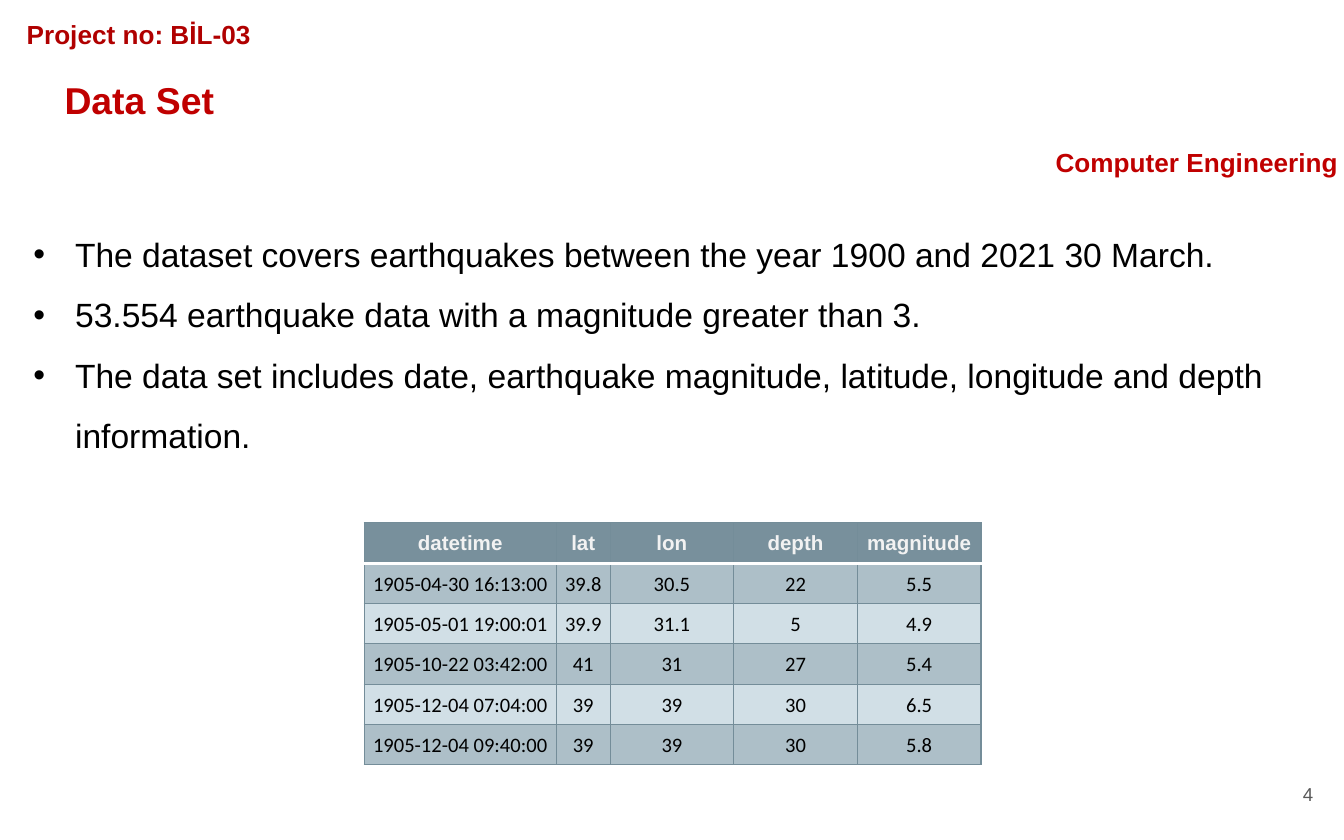
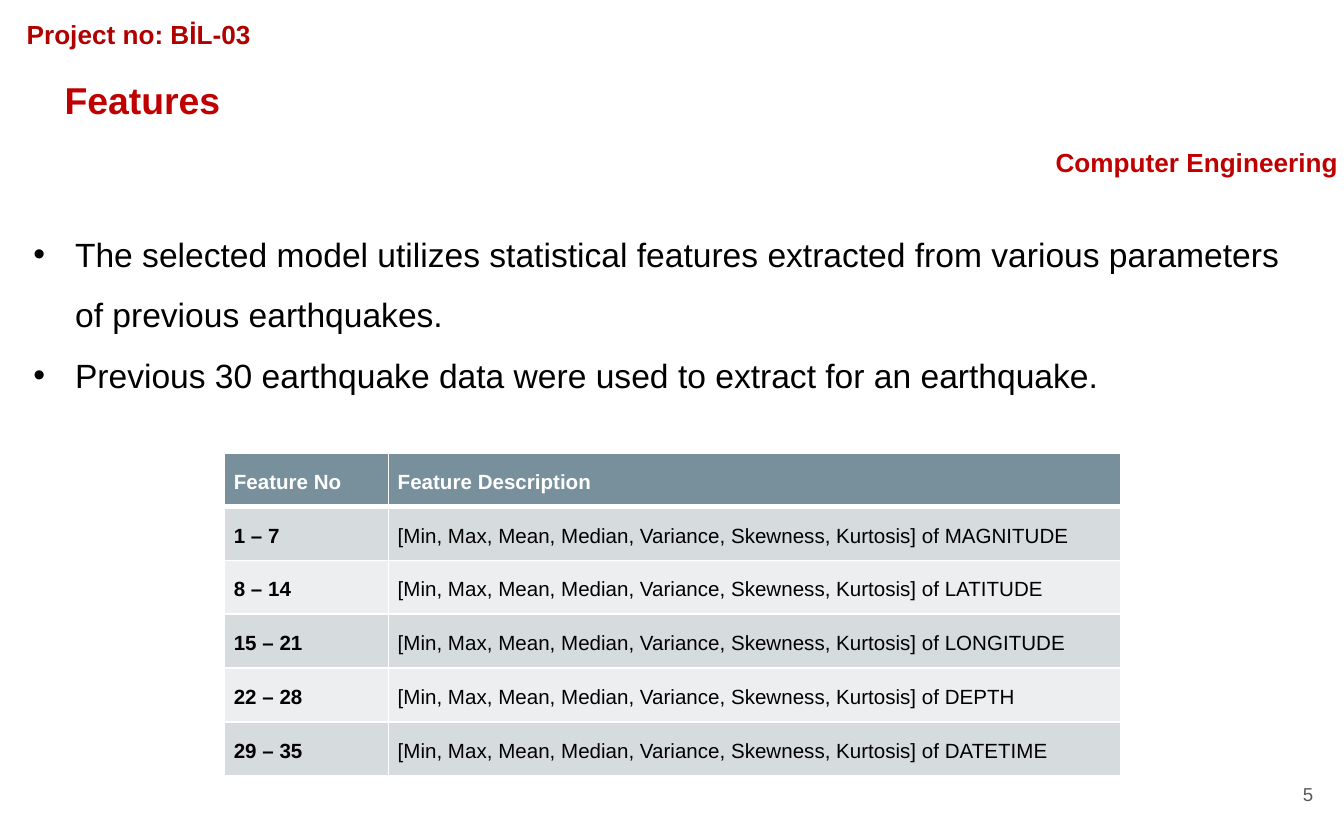
import pptx
import pptx.util
import pptx.dml.color
import pptx.enum.text
import pptx.oxml
import pptx.oxml.ns
import lxml.etree

Inches = pptx.util.Inches
Pt = pptx.util.Pt
ALIGN = pptx.enum.text.PP_ALIGN
ANCHOR = pptx.enum.text.MSO_ANCHOR
RED, MAROON, GREY = "C00000", "B00000", "595959"
BLACK, WHITE, SLATE = "000000", "FFFFFF", "78909C"
STATS = "[Min, Max, Mean, Median, Variance, Skewness, Kurtosis] of "

QUAKES = [
    ["datetime", "lat", "lon", "depth", "magnitude"],
    ["1905-04-30 16:13:00", "39.8", "30.5", "22", "5.5"],
    ["1905-05-01 19:00:01", "39.9", "31.1", "5", "4.9"],
    ["1905-10-22 03:42:00", "41", "31", "27", "5.4"],
    ["1905-12-04 07:04:00", "39", "39", "30", "6.5"],
    ["1905-12-04 09:40:00", "39", "39", "30", "5.8"],
]
FIELDS = ["MAGNITUDE", "LATITUDE", "LONGITUDE", "DEPTH", "DATETIME"]
FEATURES = [["Feature No", "Feature Description"]] + [
    [f"{7 * i + 1} – {7 * i + 7}", STATS + name] for i, name in enumerate(FIELDS)
]

QUAKE_LOOK = dict(
    at=(2.71, 3.89), cols=[1.43, 0.4, 0.92, 0.92, 0.92], high=0.3,
    bands=("ADBFC8", "D1DFE6"), line=("748D99", 0.75), rule=2, side=0.01,
    align=ALIGN.CENTER, space=1.0, head="F2F2F2", font="Calibri", lead=False,
)
FEATURE_LOOK = dict(
    at=(1.67, 3.37), cols=[1.22, 5.45], high=0.4,
    bands=("D6DBDE", "ECEEEF"), line=(WHITE, 1), rule=3, side=0.07,
    align=ALIGN.JUSTIFY, space=1.15, head=WHITE, font="Arial", lead=True,
)


def rgb(code):
    return pptx.dml.color.RGBColor.from_string(code)


def style(para, size, color, bold=False, font="Arial"):
    for run in para.runs:
        run.font.size = Pt(size)
        run.font.name = font
        run.font.bold = bold
        run.font.color.rgb = rgb(color)


def place(shape, left, top, width, height):
    shape.left, shape.top = Inches(left), Inches(top)
    shape.width, shape.height = Inches(width), Inches(height)


def setup(frame, anchor=ANCHOR.MIDDLE):
    frame.word_wrap = True
    frame.auto_size = pptx.enum.text.MSO_AUTO_SIZE.NONE
    frame.vertical_anchor = anchor
    frame.margin_left = frame.margin_right = Inches(0.1)
    frame.margin_top = frame.margin_bottom = Inches(0.1)


def label(slide, box, text, size, color, bold=True, align=ALIGN.LEFT):
    shape = slide.shapes.add_textbox(*map(Inches, box))
    setup(shape.text_frame)
    para = shape.text_frame.paragraphs[0]
    para.text = text
    para.alignment = align
    style(para, size, color, bold)


def bullet(para):
    props = para._p.get_or_add_pPr()
    props.set("marL", str(Inches(0.44)))
    props.set("indent", str(Inches(-0.31)))
    tag = pptx.oxml.ns.qn
    color = lxml.etree.SubElement(props, tag("a:buClr"))
    lxml.etree.SubElement(color, tag("a:srgbClr")).set("val", BLACK)
    lxml.etree.SubElement(props, tag("a:buFont")).set("typeface", "Arial")
    lxml.etree.SubElement(props, tag("a:buChar")).set("char", "•")


def bullets(slide, items, height):
    shape = slide.shapes.add_textbox(*map(Inches, (0.02, 1.49, 9.85, height)))
    frame = shape.text_frame
    setup(frame, ANCHOR.TOP)
    frame.text = "\n".join(items)
    for para in frame.paragraphs:
        para.line_spacing = 1.5
        bullet(para)
        style(para, 18, BLACK)


def border(cell, edges):
    props = cell._tc.get_or_add_tcPr()
    for spot, (side, (color, width)) in enumerate(edges.items()):
        props.insert(spot, pptx.oxml.parse_xml(
            f'<a:ln{side} {pptx.oxml.ns.nsdecls("a")} w="{Pt(width)}">'
            f'<a:solidFill><a:srgbClr val="{color}"/></a:solidFill></a:ln{side}>'))


def fill(cell, text, row, col, look):
    top = row == 0
    cell.fill.solid()
    cell.fill.fore_color.rgb = rgb(SLATE if top else look["bands"][(row - 1) % 2])
    cell.vertical_anchor = ANCHOR.MIDDLE
    cell.margin_left = cell.margin_right = Inches(look["side"])
    cell.margin_top, cell.margin_bottom = Inches(0.01), 0
    edges = dict.fromkeys("LRTB", look["line"])
    if row < 2:
        edges["B" if top else "T"] = (WHITE, look["rule"])
    border(cell, edges)
    para = cell.text_frame.paragraphs[0]
    para.text = text
    para.alignment = look["align"]
    para.line_spacing = look["space"]
    if top:
        style(para, 11, look["head"], True)
    else:
        style(para, 11, BLACK, look["lead"] and col == 0, look["font"])


def table(slide, rows, look):
    cols, high = look["cols"], look["high"]
    box = (*look["at"], sum(cols), high * len(rows))
    grid = slide.shapes.add_table(len(rows), len(cols), *map(Inches, box)).table
    for col, width in zip(grid.columns, cols):
        col.width = Inches(width)
    for r, row in enumerate(rows):
        grid.rows[r].height = Inches(high)
        for c, text in enumerate(row):
            fill(grid.cell(r, c), text, r, c, look)


def page(deck, title, number, items, height, rows, look):
    slide = deck.slides.add_slide(deck.slide_layouts[5])
    head = slide.shapes.title
    place(head, 0.38, 0.58, 7.52, 0.32)
    setup(head.text_frame)
    head.text_frame.text = title
    para = head.text_frame.paragraphs[0]
    para.alignment = ALIGN.LEFT
    style(para, 20, RED, True)
    bullets(slide, items, height)
    label(slide, (9.27, 5.67, 0.6, 0.48), str(number), 10, GREY, False, ALIGN.RIGHT)
    label(slide, (7.72, 0.92, 2.37, 0.57), "Computer Engineering", 14, RED, align=ALIGN.CENTER)
    label(slide, (0.1, 0.06, 2.08, 0.38), "Project no: BİL-03", 14, MAROON)
    table(slide, rows, look)


def main():
    deck = pptx.Presentation()
    deck.slide_width, deck.slide_height = Inches(10), Inches(6.25)
    page(deck, "Data Set", 4, [
        "The dataset covers earthquakes between the year 1900 and 2021 30 March.",
        "53.554 earthquake data with a magnitude greater than 3.",
        "The data set includes date, earthquake magnitude, latitude, longitude and depth information.",
    ], 4.18, QUAKES, QUAKE_LOOK)
    page(deck, "Features", 5, [
        "The selected model utilizes statistical features extracted from various parameters of previous earthquakes.",
        "Previous 30 earthquake data were used to extract for an earthquake.",
    ], 3.57, FEATURES, FEATURE_LOOK)
    deck.save("out.pptx")


main()
